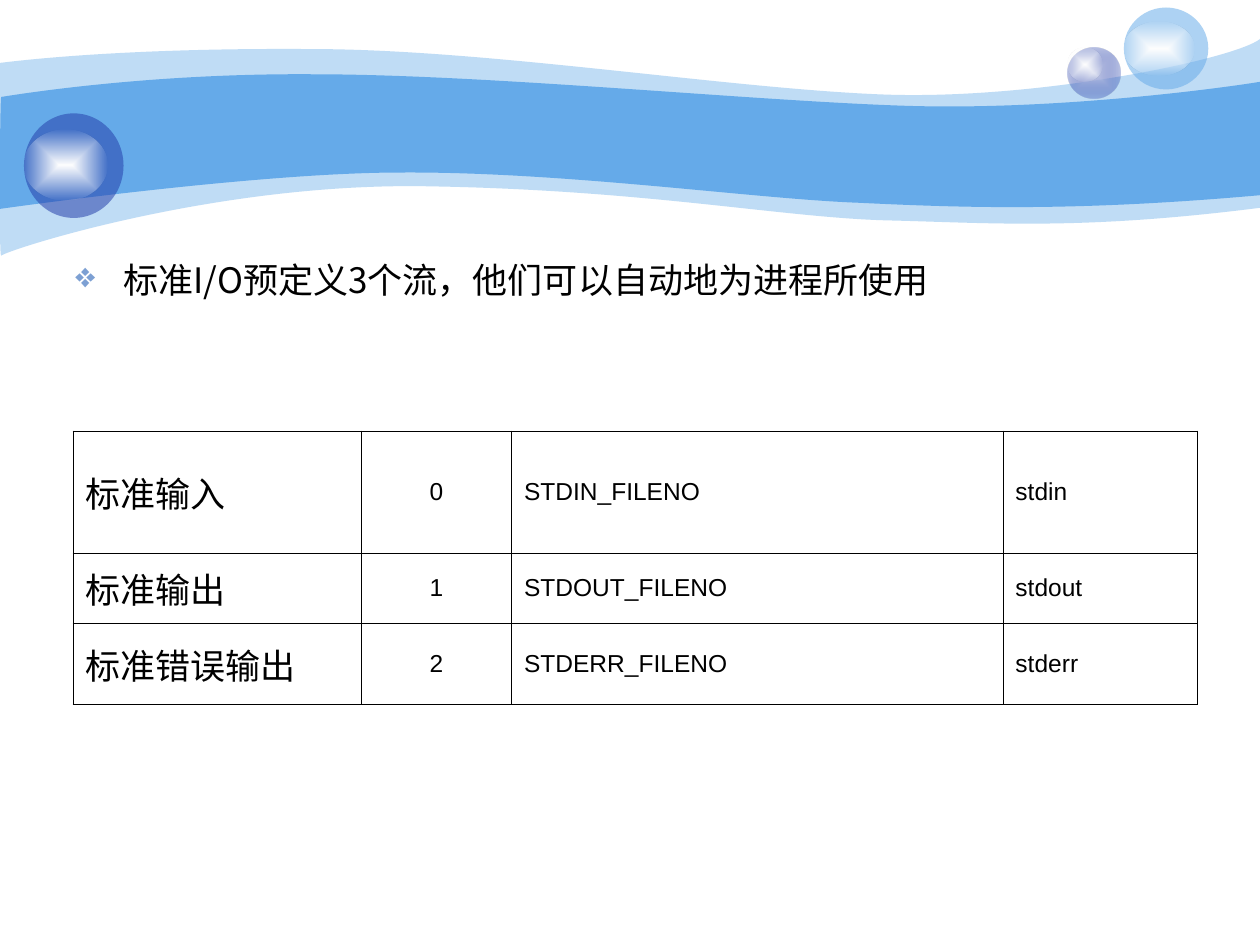
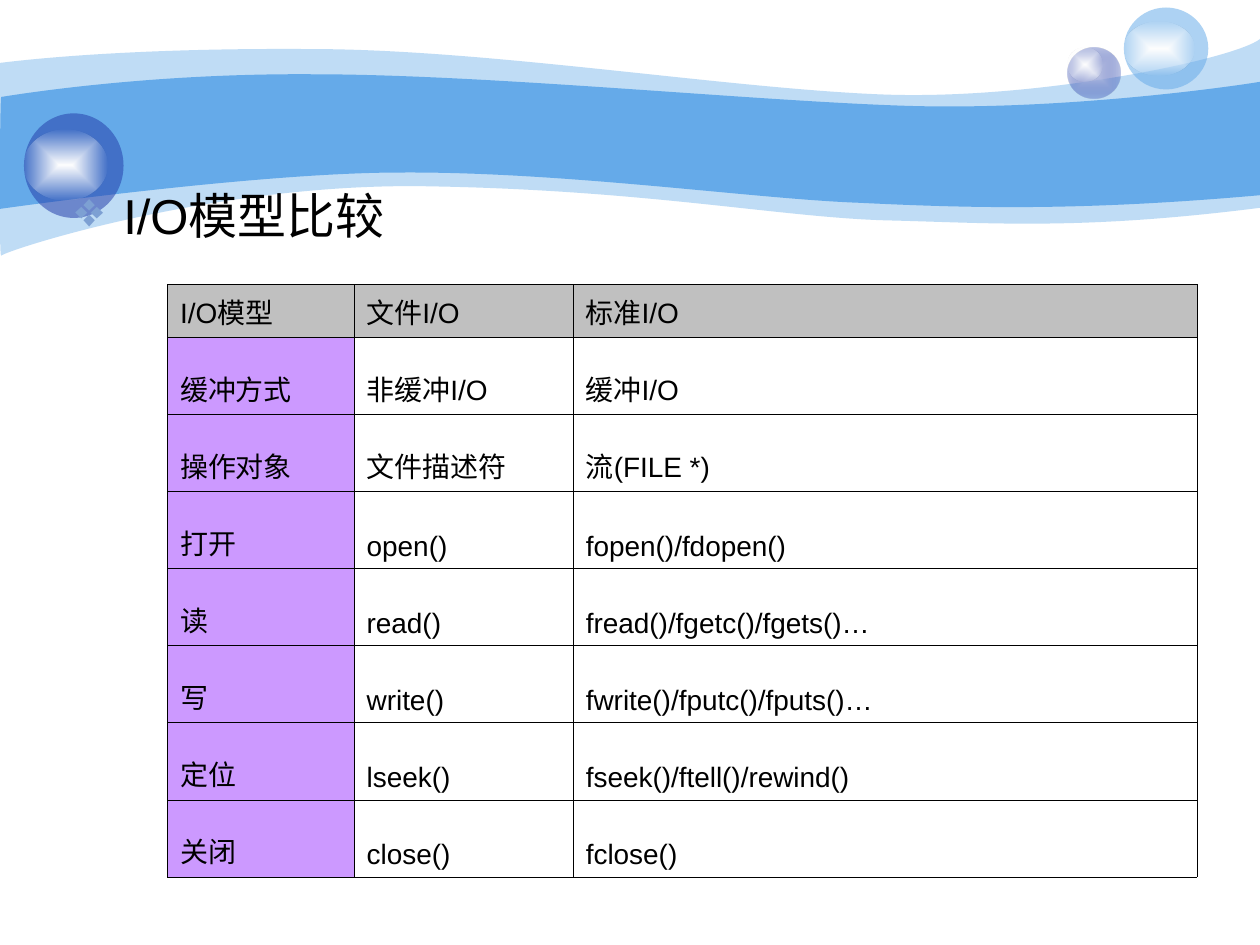
"""Two slides on the standard I/O streams and a comparison of the I/O models."""
from dataclasses import dataclass

from lxml import etree
from pptx import Presentation, util as u
from pptx.dml.color import RGBColor
from pptx.enum import shapes, text
from pptx.oxml.ns import qn


@dataclass(frozen=True)
class Theme:
    sky: str = "65AAE9"
    navy: str = "233DA9"
    lilac: str = "C6CCE8"
    bullet: str = "7DA0D3"
    ink: str = "000000"
    header: str = "C0C0C0"
    label: str = "CC99FF"
    latin: str = "Arial"
    cjk: str = "Noto Sans CJK SC"
    symbol: str = "OpenSymbol"
    title_size: int = 28
    body_size: int = 20
    table_size: int = 16
    code_size: int = 14
    border: float = 0.45


T = Theme()
WIDTH, HEIGHT = 10, 7.5

STREAMS = [
    ("标准输入", "0", "STDIN_FILENO", "stdin"),
    ("标准输出", "1", "STDOUT_FILENO", "stdout"),
    ("标准错误输出", "2", "STDERR_FILENO", "stderr"),
]
MODELS = [
    ("I/O模型", "文件I/O", "标准I/O"),
    ("缓冲方式", "非缓冲I/O", "缓冲I/O"),
    ("操作对象", "文件描述符", "流(FILE *)"),
    ("打开", "open()", "fopen()/fdopen()"),
    ("读", "read()", "fread()/fgetc()/fgets()…"),
    ("写", "write()", "fwrite()/fputc()/fputs()…"),
    ("定位", "lseek()", "fseek()/ftell()/rewind()"),
    ("关闭", "close()", "fclose()"),
]
MODEL_HEADER, MODEL_ROWS = 0.42, 4.28

# Each wave: alpha in percent, start point, then Bézier curves (6 numbers) and lines (2 numbers).
WAVES = [
    (41, (0, 0.5), [
        (0.24, 0.47, 1.07, 0.38, 2.47, 0.39), (3.86, 0.39, 5.75, 0.7, 6.99, 0.75),
        (8.22, 0.8, 9.8, 0.47, 10, 0.31), (10, 1.65),
        (8.58, 1.83, 7.87, 1.77, 7.05, 1.75), (6.22, 1.73, 5.15, 1.51, 3.43, 1.48),
        (1.72, 1.44, 0.04, 1.99, 0.01, 2.03), (-0.01, 2.08, 0, 0.75, 0, 0.5)]),
    (100, (0.01, 0.77), [
        (0.02, 0.77, 1.1, 0.58, 2.48, 0.59), (3.86, 0.59, 5.95, 0.8, 7.18, 0.84),
        (8.41, 0.88, 9.76, 0.69, 10, 0.65), (10, 1.55),
        (8.53, 1.68, 7.65, 1.65, 6.82, 1.61), (5.99, 1.58, 4.47, 1.36, 3.17, 1.37),
        (2.03, 1.37, -0.02, 1.66, -0.01, 1.66), (0, 1.66, 0, 0.77, 0.01, 0.77)]),
]
# Each bubble: body box, body colour stops, box of the shine on it.
BUBBLES = [
    ((8.47, 0.38, 0.42, 0.4), [(T.lilac, 100), (T.navy, 31)], (8.47, 0.38, 0.28, 0.27)),
    ((8.92, 0.06, 0.67, 0.65), [(T.sky, 53)], (8.92, 0.17, 0.56, 0.43)),
    ((0.19, 0.9, 0.79, 0.83), [(T.navy, 53)], (0.19, 1.03, 0.66, 0.56)),
]
SHINE = [("FFFFFF", 100), ("FEFEFE", 0)]


def inches(*values):
    return [u.Inches(v) for v in values]


def add(parent, tag, **attrs):
    return etree.SubElement(parent, qn(tag), {k: str(v) for k, v in attrs.items()})


def add_color(parent, color, alpha=100):
    clr = add(parent, "a:srgbClr", val=color)
    if alpha < 100:
        add(clr, "a:alpha", val=alpha * 1000)


def paint(sp, geometry, stops):
    """Fill with one colour, or with a gradient from the centre when there are two."""
    sp.shadow.inherit = False
    sp.line.fill.background()
    if len(stops) == 1:
        fill = etree.Element(qn("a:solidFill"))
        add_color(fill, *stops[0])
    else:
        fill = etree.Element(qn("a:gradFill"), rotWithShape="1")
        stop_list = add(fill, "a:gsLst")
        for i, stop in enumerate(stops):
            add_color(add(stop_list, "a:gs", pos=i * 100000), *stop)
        path = add(fill, "a:path", path="rect")
        add(path, "a:fillToRect", **dict.fromkeys("ltrb", 50000))
    sp._element.spPr.find(qn(geometry)).addnext(fill)


def add_wave(s, alpha, start, segments):
    """Lay out all control points as lines, then join each three into a curve."""
    points = [inches(*seg[i:i + 2]) for seg in segments for i in range(0, len(seg), 2)]
    builder = s.shapes.build_freeform(*inches(*start))
    builder.add_line_segments(points)
    sp = builder.convert_to_shape()
    lines = iter(list(sp._element.iter(qn("a:lnTo"))))
    for seg in segments:
        first = next(lines)
        if len(seg) == 6:
            curve = etree.Element(qn("a:cubicBezTo"))
            first.addprevious(curve)
            for line in (first, next(lines), next(lines)):
                curve.append(line[0])
                line.getparent().remove(line)
    paint(sp, "a:custGeom", [(T.sky, alpha)])


def add_bubble(s, body, stops, shine):
    group = s.shapes.add_group_shape()
    for box, fill in ((body, stops), (shine, SHINE)):
        sp = group.shapes.add_shape(shapes.MSO_SHAPE.OVAL, *inches(*box))
        paint(sp, "a:prstGeom", fill)


def decorate_master(prs, s):
    """Draw the waves and bubbles on an empty slide and move them to the master."""
    for wave in WAVES:
        add_wave(s, *wave)
    for bubble in BUBBLES:
        add_bubble(s, *bubble)
    for sp in list(s.shapes):
        prs.slide_master.shapes._spTree.append(sp._element)


def style(p, size, latin):
    p.font.size = u.Pt(size)
    p.font.name = latin
    p.font.color.rgb = RGBColor.from_string(T.ink)
    add(p._p.pPr.find(qn("a:defRPr")), "a:ea", typeface=T.cjk)


def add_heading(s, words, box, size, latin):
    tf = s.shapes.add_textbox(*inches(*box)).text_frame
    tf.word_wrap = True
    p = tf.paragraphs[0]
    p.text = words
    pPr = p._p.get_or_add_pPr()
    pPr.set("marL", str(u.Inches(0.38)))
    pPr.set("indent", str(u.Inches(-0.38)))
    add_color(add(pPr, "a:buClr"), T.bullet)
    add(pPr, "a:buFont", typeface=T.symbol)
    add(pPr, "a:buChar", char="❖")
    style(p, size, latin)


def add_borders(cell):
    tcPr = cell._tc.get_or_add_tcPr()
    for i, side in enumerate("LRTB"):
        ln = etree.Element(qn(f"a:ln{side}"), w=str(u.Pt(T.border)))
        add_color(add(ln, "a:solidFill"), T.ink)
        tcPr.insert(i, ln)


def add_grid(s, rows, corner, widths, heights, anchor, look):
    """Draw a bordered table; look(row, column) gives size, font, alignment and fill."""
    table = s.shapes.add_table(len(rows), len(widths),
                               *inches(*corner, sum(widths), sum(heights))).table
    table.first_row = table.horz_banding = False
    for col, width in zip(table.columns, widths):
        col.width = u.Inches(width)
    for r, (values, height) in enumerate(zip(rows, heights)):
        table.rows[r].height = u.Inches(height)
        for c, value in enumerate(values):
            size, latin, align, fill = look(r, c)
            cell = table.cell(r, c)
            cell.vertical_anchor = anchor
            if fill:
                cell.fill.solid()
                cell.fill.fore_color.rgb = RGBColor.from_string(fill)
            else:
                cell.fill.background()
            add_borders(cell)
            p = cell.text_frame.paragraphs[0]
            p.text = value
            p.alignment = align
            style(p, size, latin)


def stream_look(r, c):
    align = text.PP_ALIGN.CENTER if c == 1 else text.PP_ALIGN.LEFT
    size, latin = (T.code_size, T.latin) if c else (T.body_size, T.cjk)
    return size, latin, align, None


def model_look(r, c):
    fill = T.header if r == 0 else T.label if c == 0 else None
    return T.table_size, T.latin, text.PP_ALIGN.LEFT, fill


def main():
    prs = Presentation()
    prs.slide_width, prs.slide_height = inches(WIDTH, HEIGHT)
    streams, models = (prs.slides.add_slide(prs.slide_layouts[6]) for _ in range(2))
    decorate_master(prs, streams)

    add_heading(streams, "标准I/O预定义3个流，他们可以自动地为进程所使用",
                (0.5, 2, 9.25, 1), T.body_size, T.cjk)
    add_grid(streams, STREAMS, (0.58, 3.42), (2.29, 1.19, 3.9, 1.54), (0.97, 0.56, 0.64),
             text.MSO_ANCHOR.MIDDLE, stream_look)

    add_heading(models, "I/O模型比较", (0.5, 1.42, 4.42, 5.33), T.title_size, T.latin)
    count = len(MODELS) - 1
    add_grid(models, MODELS, (1.33, 2.26), (1.48, 1.74, 4.95),
             [MODEL_HEADER] + [MODEL_ROWS / count] * count,
             text.MSO_ANCHOR.BOTTOM, model_look)
    prs.save("out.pptx")


if __name__ == "__main__":
    main()
